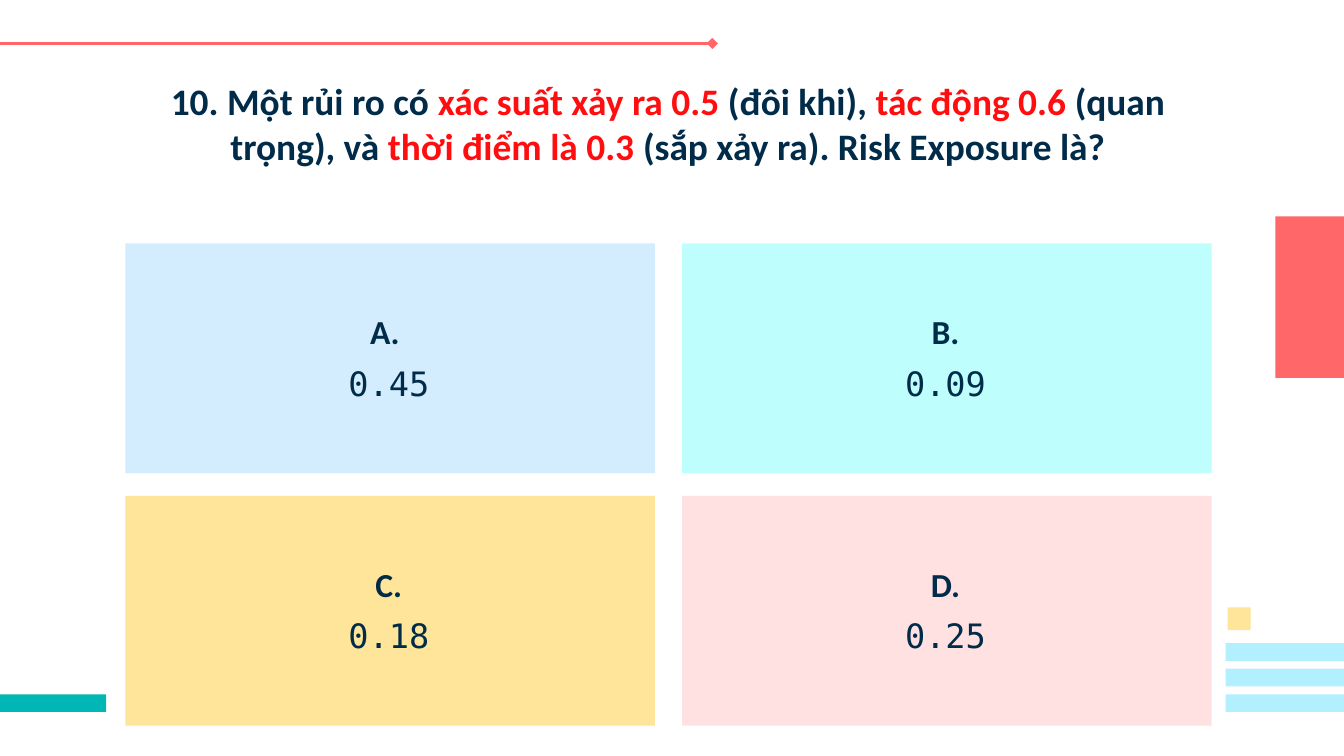
from lxml.etree import SubElement
from pptx import Presentation
from pptx.dml.color import RGBColor
from pptx.enum.shapes import MSO_CONNECTOR, MSO_SHAPE
from pptx.enum.text import MSO_ANCHOR, MSO_AUTO_SIZE, PP_ALIGN
from pptx.oxml.ns import qn
from pptx.util import Inches, Pt

COLORS = {
    "ink": "012C49", "key": "FF0D0F", "coral": "FF6768", "teal": "00B7B5",
    "sky": "B2F0FF", "yellow": "FFE599", "blue": "D4EDFE",
    "aqua": "BEFFFE", "pink": "FFE1E1",
}
COLUMNS, ROWS = 100, 56.25
CELL = 0.1
COMPARISON_LAYOUT = 4


class QuizSlide:
    heading_font = "Calibri"
    value_font = "DejaVu Sans Mono"

    def __init__(self, deck):
        self.slide = deck.slides.add_slide(deck.slide_layouts[COMPARISON_LAYOUT])
        self.shapes = self.slide.shapes
        self.answer_holders = [
            holder for holder in self.slide.placeholders
            if 1 <= holder.placeholder_format.idx <= 4
        ]

    def span(self, *cells):
        return [Inches(cell * CELL) for cell in cells]

    def color(self, name):
        return RGBColor.from_string(COLORS[name])

    def block(self, column, row, width, height, fill):
        block = self.shapes.add_shape(
            MSO_SHAPE.RECTANGLE, *self.span(column, row, width, height))
        block.shadow.inherit = False
        block.fill.solid()
        block.fill.fore_color.rgb = self.color(fill)
        block.line.fill.background()

    def rule(self, start, end, row, color):
        rule = self.shapes.add_connector(
            MSO_CONNECTOR.STRAIGHT, *self.span(start, row, end, row))
        rule.line.color.rgb = self.color(color)
        rule.line.width = Pt(1.5)
        SubElement(rule.line._get_or_add_ln(), qn("a:headEnd"), type="diamond")
        SubElement(rule.element.spPr, qn("a:effectLst"))

    def place(self, holder, box, anchor):
        self.shapes.element.append(holder.element)
        holder.left, holder.top, holder.width, holder.height = self.span(*box)
        frame = holder.text_frame
        frame.word_wrap = True
        frame.auto_size = MSO_AUTO_SIZE.NONE
        frame.vertical_anchor = anchor
        frame.margin_left = frame.margin_right = Inches(0.1)
        frame.margin_top = frame.margin_bottom = Inches(0.1)
        return frame

    def style(self, paragraph, font, size, bold):
        properties = paragraph._p.get_or_add_pPr()
        properties.set("marL", "0")
        properties.set("indent", "0")
        SubElement(properties, qn("a:buNone"))
        paragraph.alignment = PP_ALIGN.CENTER
        paragraph.space_before = paragraph.space_after = Pt(0)
        paragraph.line_spacing = 1.0
        paragraph.font.name = font
        paragraph.font.size = Pt(size)
        paragraph.font.bold = bold
        paragraph.font.color.rgb = self.color("ink")

    def question(self, box, parts):
        frame = self.place(self.shapes.title, box, MSO_ANCHOR.TOP)
        paragraph = frame.paragraphs[0]
        self.style(paragraph, self.heading_font, 20, True)
        for wording, color in parts:
            run = paragraph.add_run()
            run.text = wording
            run.font.color.rgb = self.color(color)

    def answer(self, box, letter, value):
        frame = self.place(self.answer_holders.pop(0), box, MSO_ANCHOR.MIDDLE)
        label, number = frame.paragraphs[0], frame.add_paragraph()
        label.text, number.text = letter, value
        self.style(label, self.heading_font, 18, True)
        self.style(number, self.value_font, 18, False)
        label.space_after = Pt(6)


def main():
    deck = Presentation()
    deck.slide_width = Inches(COLUMNS * CELL)
    deck.slide_height = Inches(ROWS * CELL)
    quiz = QuizSlide(deck)

    quiz.rule(53, 0, 3.23, "coral")
    bar_width, bar_height = 8.8, 1.32
    for step in range(3):
        quiz.block(91.2, 47.86 + 1.9 * step, bar_width, bar_height, "sky")
    quiz.block(91.35, 45.2, 1.7, 1.7, "yellow")
    quiz.block(94.9, 16.1, 5.1, 12.03, "coral")
    quiz.block(-0.9, 51.66, bar_width, bar_height, "teal")

    quiz.question((9.3, 4.8, 80.8, 12.1), [
        ("10. Một rủi ro có ", "ink"),
        ("xác suất xảy ra 0.5", "key"),
        (" (đôi khi), ", "ink"),
        ("tác động 0.6 ", "key"),
        ("(quan trọng), và ", "ink"),
        ("thời điểm là 0.3 ", "key"),
        ("(sắp xảy ra). Risk Exposure là?", "ink"),
    ])

    card_width, card_height = 39.4, 17.1
    answers = [
        ("A. ", "0.45", "blue"), ("B.", "0.09", "aqua"),
        ("C.", "0.18", "yellow"), ("D.", "0.25", "pink"),
    ]
    for index, (letter, value, fill) in enumerate(answers):
        card_row, card_column = divmod(index, 2)
        left = 9.33 + 41.42 * card_column
        top = 18.12 + 18.77 * card_row
        quiz.block(left, top, card_width, card_height, fill)
        quiz.answer((left + 0.8, top + 1, card_width - 1.8, card_height - 2.2),
                    letter, value)

    deck.save("out.pptx")


if __name__ == "__main__":
    main()
